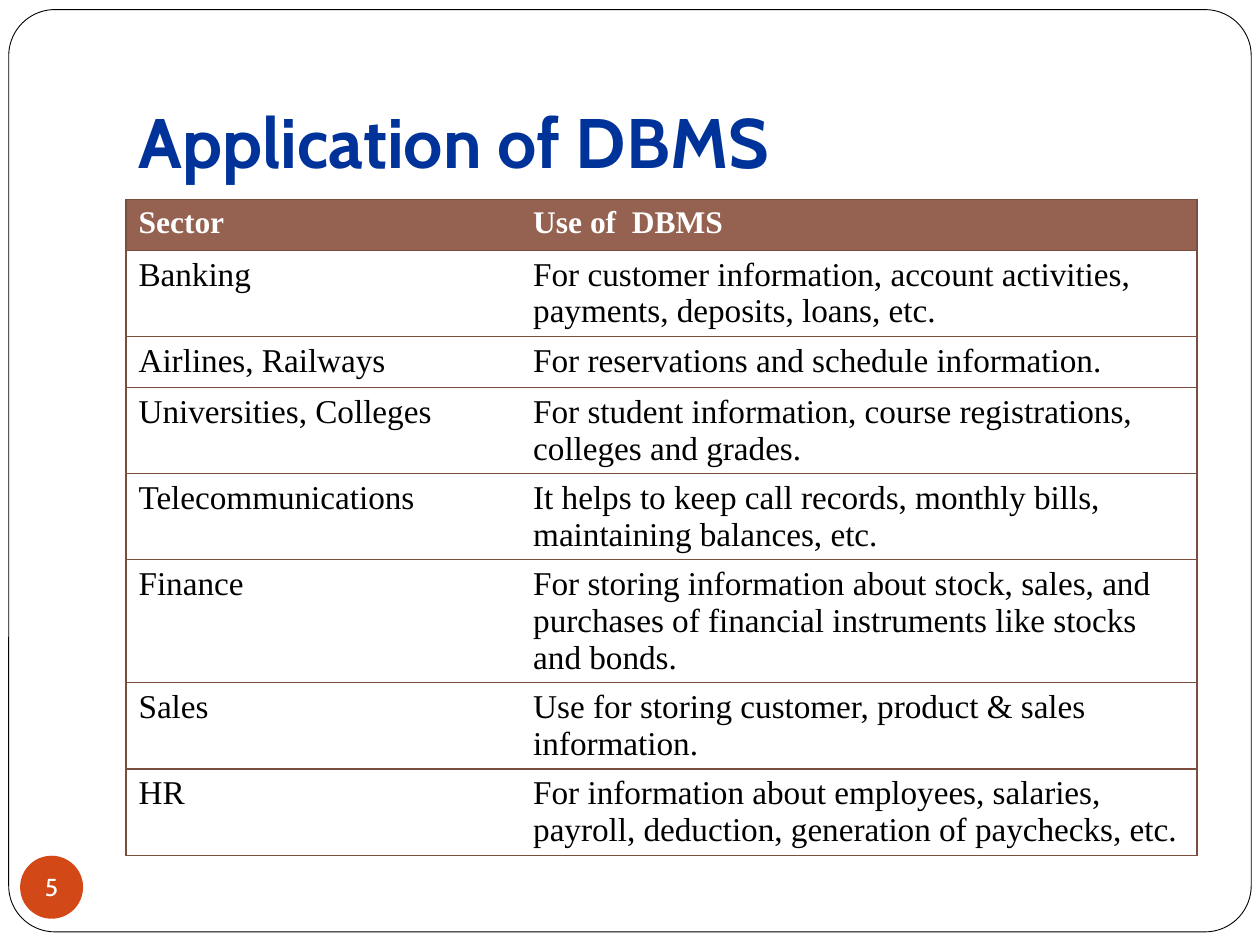
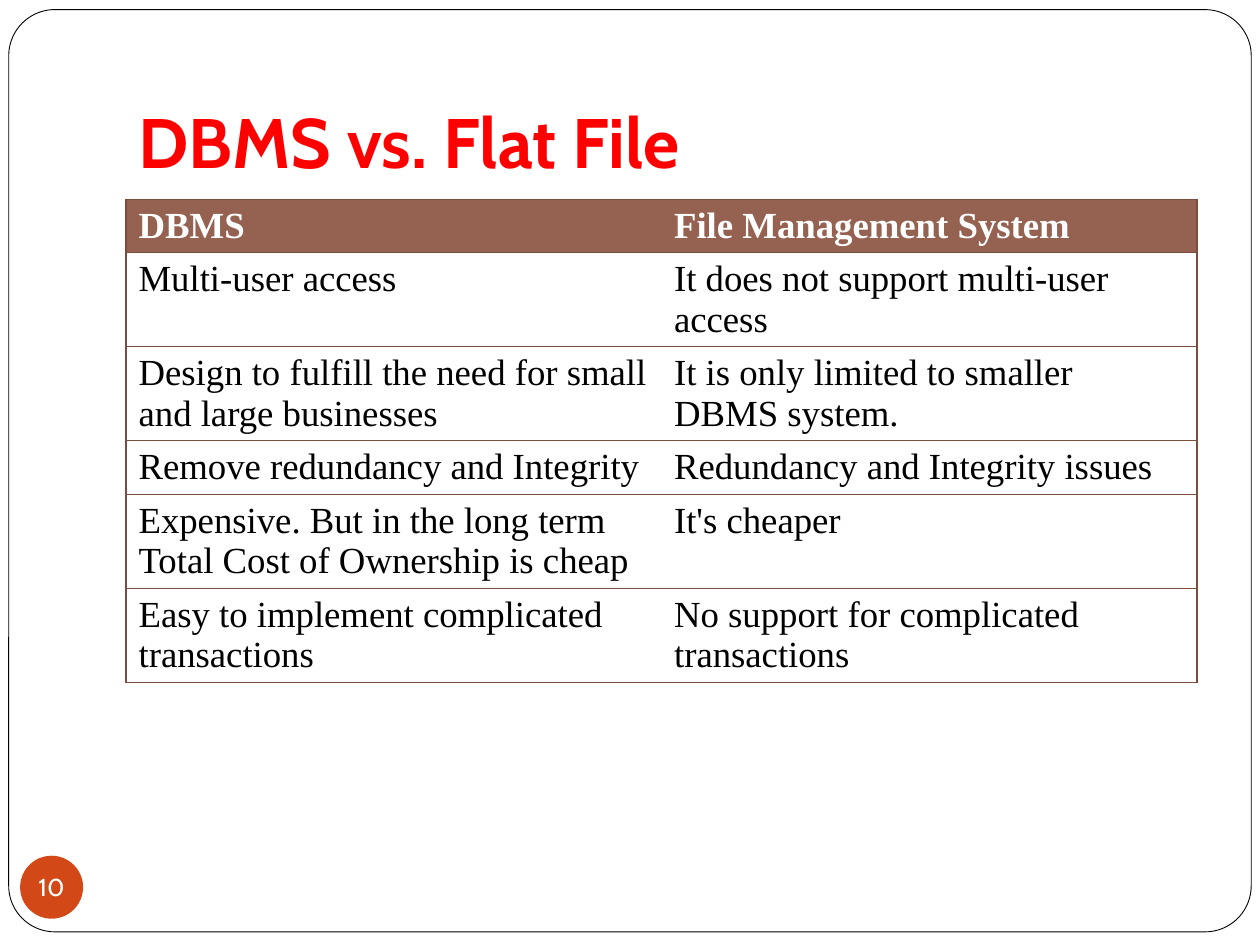
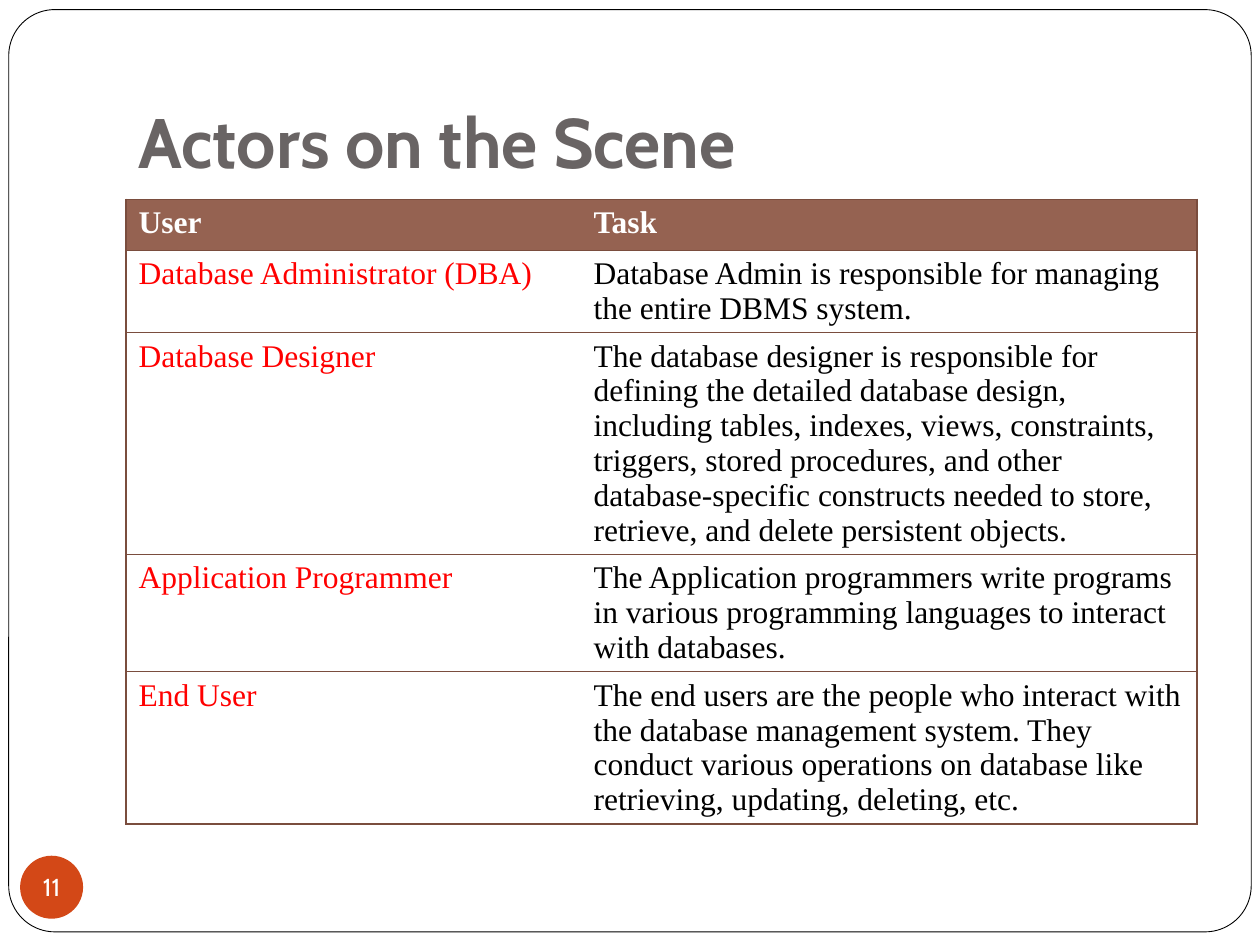
from dataclasses import dataclass

from lxml import etree
from pptx import Presentation
from pptx.dml.color import RGBColor
from pptx.enum.shapes import MSO_SHAPE
from pptx.enum.text import MSO_ANCHOR, MSO_AUTO_SIZE, PP_ALIGN
from pptx.oxml.ns import qn
from pptx.util import Pt

ROUNDED = MSO_SHAPE.ROUNDED_RECTANGLE
OVAL = MSO_SHAPE.OVAL
LEFT, CENTER = PP_ALIGN.LEFT, PP_ALIGN.CENTER
BOTTOM, MIDDLE = MSO_ANCHOR.BOTTOM, MSO_ANCHOR.MIDDLE
NO_AUTOFIT = MSO_AUTO_SIZE.NONE
TITLE_ONLY = 5
PLAIN_TABLE_STYLE = "{2D5ABB26-0587-4C30-8999-92F81FD0307C}"


@dataclass(frozen=True)
class Theme:
    white: str = "FFFFFF"
    black: str = "000000"
    red: str = "FF0000"
    blue: str = "003399"
    gray: str = "696464"
    brown: str = "956251"
    border: str = "7A4D3E"
    orange: str = "D34817"
    heading_font: str = "Cabin"
    table_font: str = "Times New Roman"
    title_size: float = 40
    number_size: float = 14
    frame_line: float = 0.5
    table_line: float = 0.75


THEME = Theme()


def color(value):
    return RGBColor.from_string(value)


def write_text(frame, text, *, font, size, ink, bold=False, align=LEFT):
    para = frame.paragraphs[0]
    para.alignment = align
    span = para.add_run()
    span.text = text
    span.font.name = font
    span.font.size = Pt(size)
    span.font.bold = bold
    span.font.color.rgb = color(ink)


def add_border(cell, side, ink, width):
    line = etree.SubElement(cell._tc.get_or_add_tcPr(), qn(f"a:ln{side}"), w=str(Pt(width)))
    fill = etree.SubElement(line, qn("a:solidFill"))
    etree.SubElement(fill, qn("a:srgbClr"), val=ink)


class SlideBuilder:
    def __init__(self, deck, theme):
        self.deck = deck
        self.theme = theme
        self.page = None

    def start(self, title, ink, number):
        self.page = self.deck.slides.add_slide(self.deck.slide_layouts[TITLE_ONLY])
        self.add_frame()
        self.add_title(title, ink)
        self.add_number(number)

    def add_shape(self, kind, left, top, width, height, fill):
        shape = self.page.shapes.add_shape(kind, Pt(left), Pt(top), Pt(width), Pt(height))
        shape.shadow.inherit = False
        shape.fill.solid()
        shape.fill.fore_color.rgb = color(fill)
        return shape

    def add_frame(self):
        frame = self.add_shape(ROUNDED, 5, 5.5, 710, 527, self.theme.white)
        frame.adjustments[0] = 0.05
        frame.line.color.rgb = color(self.theme.black)
        frame.line.width = Pt(self.theme.frame_line)
        self.page.shapes.title.element.addprevious(frame.element)

    def add_title(self, text, ink):
        title = self.page.shapes.title
        title.left, title.top, title.width, title.height = Pt(72), Pt(21.6), Pt(612), Pt(90)
        box = title.text_frame
        box.auto_size = NO_AUTOFIT
        box.vertical_anchor = BOTTOM
        box.margin_left = box.margin_right = box.margin_bottom = Pt(7.2)
        box.margin_top = Pt(3.6)
        write_text(box, text, font=self.theme.heading_font,
                   size=self.theme.title_size, ink=ink, bold=True)

    def add_number(self, number):
        badge = self.add_shape(OVAL, 11.5, 489, 36, 36, self.theme.orange)
        badge.line.fill.background()
        box = badge.text_frame
        box.word_wrap = False
        box.vertical_anchor = MIDDLE
        box.margin_left = box.margin_right = box.margin_top = box.margin_bottom = 0
        write_text(box, str(number), font=self.theme.heading_font,
                   size=self.theme.number_size, ink=self.theme.white, align=CENTER)

    def add_table(self, rows, widths, header_size, body_size, label_ink):
        row_height = 29.2
        table = self.page.shapes.add_table(
            len(rows), len(widths), Pt(72), Pt(113.8), Pt(sum(widths)), Pt(row_height * len(rows))
        ).table
        table.first_row = table.horz_banding = False
        table._tbl.tblPr.find(qn("a:tableStyleId")).text = PLAIN_TABLE_STYLE
        for column, width in zip(table.columns, widths):
            column.width = Pt(width)
        for row_index, texts in enumerate(rows):
            table.rows[row_index].height = Pt(row_height)
            header = row_index == 0
            for column_index, text in enumerate(texts):
                cell = table.cell(row_index, column_index)
                side = "L" if column_index == 0 else "R"
                for edge in (side, "T", "B"):
                    add_border(cell, edge, self.theme.border, self.theme.table_line)
                cell.fill.solid()
                cell.fill.fore_color.rgb = color(self.theme.brown if header else self.theme.white)
                body_ink = label_ink if column_index == 0 else self.theme.black
                write_text(cell.text_frame, text, font=self.theme.table_font,
                           size=header_size if header else body_size,
                           ink=self.theme.white if header else body_ink, bold=header)


APPLICATIONS = [
    ("Sector", "Use of  DBMS"),
    ("Banking", "For customer information, account activities, payments, deposits, loans, etc."),
    ("Airlines, Railways", "For reservations and schedule information."),
    ("Universities, Colleges", "For student information, course registrations, colleges and grades."),
    ("Telecommunications", "It helps to keep call records, monthly bills, maintaining balances, etc."),
    ("Finance", "For storing information about stock, sales, and purchases of financial "
                "instruments like stocks and bonds."),
    ("Sales", "Use for storing customer, product & sales information."),
    ("HR", "For information about employees, salaries, payroll, deduction, "
           "generation of paychecks, etc."),
]

COMPARISON = [
    ("DBMS", "File Management System"),
    ("Multi-user access", "It does not support multi-user access"),
    ("Design to fulfill the need for small and large businesses",
     "It is only limited to smaller DBMS system."),
    ("Remove redundancy and Integrity", "Redundancy and Integrity issues"),
    ("Expensive. But in the long term Total Cost of Ownership is cheap", "It's cheaper"),
    ("Easy to implement complicated transactions", "No support for complicated transactions"),
]

ACTORS = [
    ("User", "Task"),
    ("Database Administrator (DBA)",
     "Database Admin is responsible for managing the entire DBMS system."),
    ("Database Designer",
     "The database designer is responsible for defining the detailed database design, "
     "including tables, indexes, views, constraints, triggers, stored procedures, and other "
     "database-specific constructs needed to store, retrieve, and delete persistent objects."),
    ("Application Programmer",
     "The Application programmers write programs in various programming languages "
     "to interact with databases."),
    ("End User",
     "The end users are the people who interact with the database management system. "
     "They conduct various operations on database like retrieving, updating, deleting, etc."),
]


def main():
    deck = Presentation()
    deck.slide_width, deck.slide_height = Pt(720), Pt(540)
    builder = SlideBuilder(deck, THEME)

    builder.start("Application of DBMS", THEME.blue, 5)
    builder.add_table(APPLICATIONS, (225.5, 386.5), 18, 19, THEME.black)

    builder.start("DBMS vs. Flat File", THEME.red, 10)
    builder.add_table(COMPARISON, (306, 306), 21, 21, THEME.black)

    builder.start("Actors on the Scene", THEME.gray, 11)
    builder.add_table(ACTORS, (260, 352), 18, 18, THEME.red)

    deck.save("out.pptx")


if __name__ == "__main__":
    main()
